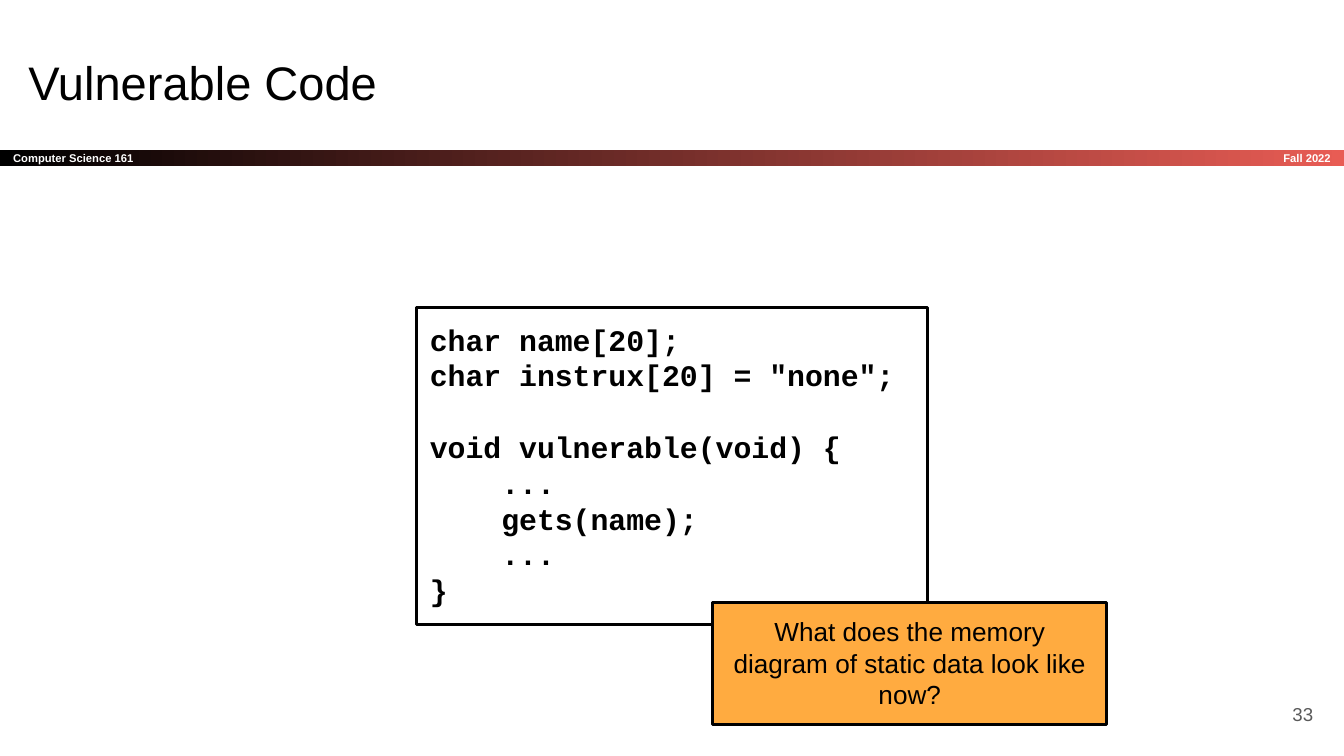
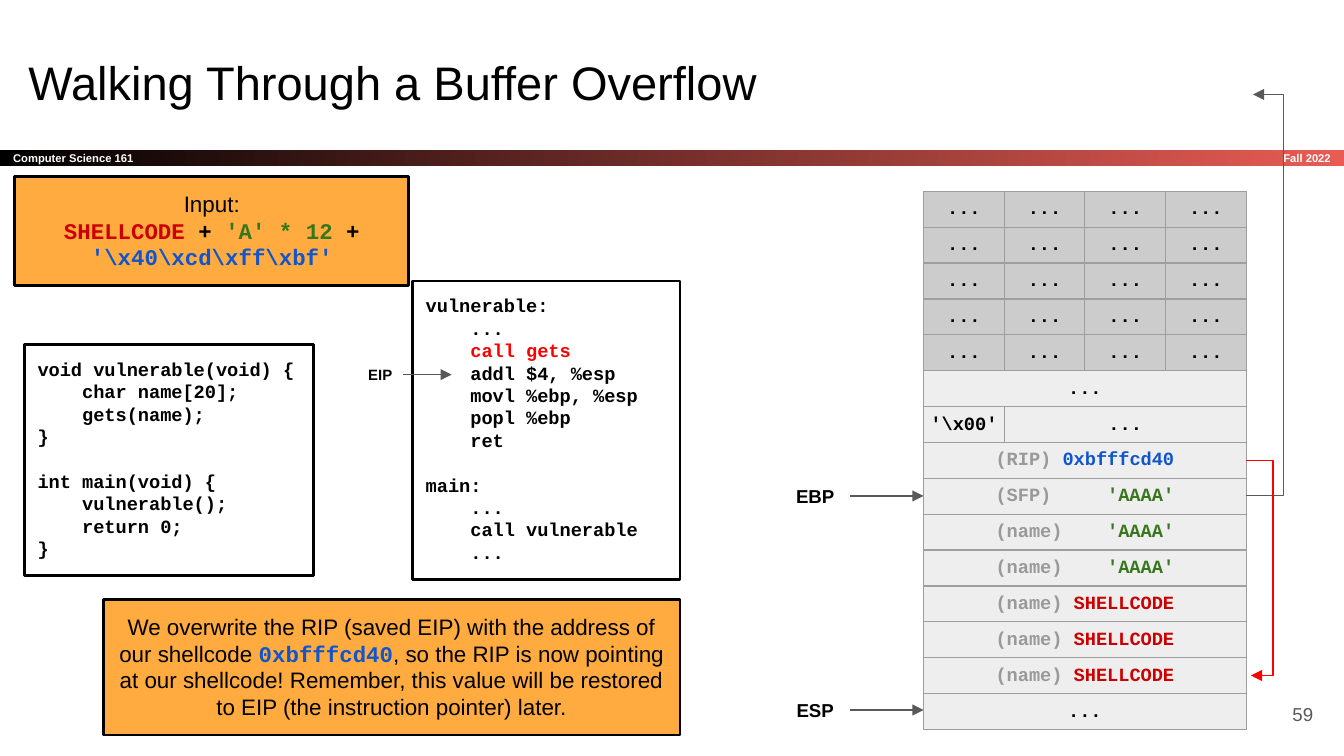
"""Build two slides about a buffer overflow in C code."""
from lxml import etree
from pptx import Presentation
from pptx.dml.color import RGBColor
from pptx.enum.shapes import MSO_CONNECTOR, MSO_SHAPE
from pptx.enum.text import MSO_ANCHOR, MSO_AUTO_SIZE, PP_ALIGN
from pptx.oxml.ns import qn
from pptx.util import Pt

LEFT, CENTER, RIGHT = PP_ALIGN.LEFT, PP_ALIGN.CENTER, PP_ALIGN.RIGHT
TOP, MIDDLE = MSO_ANCHOR.TOP, MSO_ANCHOR.MIDDLE
RECTANGLE, STRAIGHT = MSO_SHAPE.RECTANGLE, MSO_CONNECTOR.STRAIGHT
FIXED_SIZE = MSO_AUTO_SIZE.NONE

SANS, MONO = "Arial", "Courier New"
BLACK, WHITE, BAND_END, ORANGE = "000000", "FFFFFF", "E85C54", "FFAB40"
GRAY, LABEL_GRAY, BORDER_GRAY = "595959", "999999", "9E9E9E"
CALLER_FILL, FRAME_FILL = "CCCCCC", "EEEEEE"
RED, SHELL_RED, GREEN, BLUE = "FF0000", "CC0000", "38761D", "1155CC"
LINE_HEIGHT = 1.2
color = RGBColor.from_string


def write_text(frame, paragraphs, size=10, font=SANS, ink=BLACK, bold=False,
               align=LEFT, anchor=TOP, insets=(7.2, 7.2)):
    """Write paragraphs of (text, ink, font) runs; an empty one becomes a gap."""
    frame.word_wrap = True
    frame.auto_size = FIXED_SIZE
    frame.vertical_anchor = anchor
    frame.margin_left = frame.margin_right = Pt(insets[0])
    frame.margin_top = frame.margin_bottom = Pt(insets[1])
    paragraph, gap = frame.paragraphs[0], 0
    for index, runs in enumerate(paragraphs):
        if not runs:
            gap = size * LINE_HEIGHT
            continue
        if index:
            paragraph = frame.add_paragraph()
        paragraph.alignment = align
        paragraph.line_spacing = Pt(size * LINE_HEIGHT)
        paragraph.space_before, gap = Pt(gap), 0
        for text, run_ink, run_font in [(runs, ink, font)] if isinstance(runs, str) else runs:
            run = paragraph.add_run()
            run.text = text
            run.font.size, run.font.name = Pt(size), run_font
            run.font.bold = bold or run_font == MONO
            run.font.color.rgb = color(run_ink)


def add_box(slide, place, paragraphs, fill=None, **text_format):
    """Add an outlined box, or a plain text box when there is no fill."""
    place = [Pt(length) for length in place]
    if fill:
        shape = slide.shapes.add_shape(RECTANGLE, *place)
        shape.shadow.inherit = False
        shape.fill.solid()
        shape.fill.fore_color.rgb = color(fill)
        shape.line.color.rgb = color(BLACK)
        shape.line.width = Pt(1.5)
    else:
        shape = slide.shapes.add_textbox(*place)
    write_text(shape.text_frame, paragraphs, **text_format)
    return shape


presentation = Presentation()
presentation.slide_width, presentation.slide_height = Pt(720), Pt(405)

slides = []
for title, number in [("Vulnerable Code", "33"), ("Walking Through a Buffer Overflow", "59")]:
    slide = presentation.slides.add_slide(presentation.slide_layouts[5])
    slides.append(slide)
    band = add_box(slide, (0, 80.2, 720, 8.7), ["Computer Science 161"], fill=BLACK,
                   size=6, ink=WHITE, bold=True, anchor=MIDDLE)
    band.line.fill.background()
    band.fill.gradient()
    band.fill.gradient_angle = 0
    for stop, stop_color in zip(band.fill.gradient_stops, (BLACK, BAND_END)):
        stop.color.rgb = color(stop_color)
    add_box(slide, (600.5, 80.2, 119.5, 8.7), ["Fall 2022"], size=6, ink=WHITE,
            bold=True, align=RIGHT, anchor=MIDDLE)
    heading = slide.shapes.title
    heading.left, heading.top, heading.width, heading.height = Pt(8), Pt(21.6), Pt(671), Pt(45.4)
    write_text(heading.text_frame, [title], size=25.2)
    add_box(slide, (667.4, 367.2, 43.2, 31), [number], ink=GRAY, align=RIGHT, anchor=MIDDLE)
code_slide, overflow_slide = slides

add_box(code_slide, (223.2, 164.9, 273.6, 169.9), [
    "char name[20];",
    'char instrux[20] = "none";',
    "",
    "void vulnerable(void) {",
    "    ...",
    "    gets(name);",
    "    ...",
    "}",
], fill=WHITE, size=16, font=MONO)
add_box(code_slide, (381.9, 322.7, 211, 65.5),
        ["What does the memory diagram of static data look like now?"],
        fill=ORANGE, size=14, align=CENTER)

add_box(overflow_slide, (13, 184.5, 154.8, 123.8), [
    "void vulnerable(void) {",
    "    char name[20];",
    "    gets(name);",
    "}",
    "",
    "int main(void) {",
    "    vulnerable();",
    "    return 0;",
    "}",
], fill=WHITE, font=MONO)
add_box(overflow_slide, (221, 150.5, 143.3, 159.8), [
    "vulnerable:",
    "    ...",
    [("    call gets", RED, MONO)],
    "    addl $4, %esp",
    "    movl %ebp, %esp",
    "    popl %ebp",
    "    ret",
    "",
    "main:",
    "    ...",
    "    call vulnerable",
    "    ...",
], fill=WHITE, font=MONO)

add_box(overflow_slide, (191.5, 192.2, 24.5, 17.3), ["EIP"], size=8, bold=True,
        align=CENTER, insets=(3.6, 3.6))
for register, top in [("EBP", 252.7), ("ESP", 367.2)]:
    add_box(overflow_slide, (417.6, top, 38.2, 26.6), [register], bold=True, align=CENTER)

memory_rows = [["..."] * 4] * 5 + [["..."], [r"'\x00'", "..."]]
for label, value, ink in [
    ("(RIP)", "0xbfffcd40", BLUE),
    ("(SFP)", "'AAAA'", GREEN),
    *[("(name)", "'AAAA'", GREEN)] * 2,
    *[("(name)", "SHELLCODE", SHELL_RED)] * 3,
]:
    memory_rows.append([[(label.ljust(16 - len(value)), LABEL_GRAY, MONO), (value, ink, MONO)]])
memory_rows.append(["..."])

table = overflow_slide.shapes.add_table(
    len(memory_rows), 4, Pt(494.8), Pt(102.5), Pt(172.8), Pt(288)).table
table.first_row = table.horz_banding = False
for column in table.columns:
    column.width = Pt(43.2)
for row_index, contents in enumerate(memory_rows):
    table.rows[row_index].height = Pt(19.2)
    last = len(contents) - 1
    if last < 3:
        table.cell(row_index, last).merge(table.cell(row_index, 3))
    for column_index in range(4):
        cell = table.cell(row_index, column_index)
        cell.margin_left = cell.margin_right = Pt(1.44)
        cell.margin_top = cell.margin_bottom = Pt(3.6)
        cell.fill.solid()
        cell.fill.fore_color.rgb = color(CALLER_FILL if row_index < 5 else FRAME_FILL)
        properties = cell.fill._xPr
        for position, side in enumerate(("a:lnL", "a:lnR", "a:lnT", "a:lnB")):
            border = etree.Element(qn(side), w=str(Pt(0.75)))
            solid = etree.SubElement(border, qn("a:solidFill"))
            etree.SubElement(solid, qn("a:srgbClr"), val=BORDER_GRAY)
            properties.insert(position, border)
        if column_index <= last:
            paragraph = cell.text_frame.paragraphs[0]
            paragraph.alignment = CENTER
            paragraph.line_spacing = Pt(10 * LINE_HEIGHT)
            content = contents[column_index]
            for text, ink, font in [(content, BLACK, MONO)] if isinstance(content, str) else content:
                run = paragraph.add_run()
                run.text = text
                run.font.size, run.font.name, run.font.bold = Pt(10), font, True
                run.font.color.rgb = color(ink)

for ink, points in [
    (GRAY, [(216, 200.7), (242, 200.7)]),
    (GRAY, [(455.5, 265.7), (494.8, 265.7)]),
    (GRAY, [(455.5, 380.4), (494.8, 380.4)]),
    (GRAY, [(667.6, 265.4), (687.6, 265.4), (687.6, 50.6), (671.3, 50.6)]),
    (RED, [(667.6, 246.8), (682, 246.8), (682, 361.9), (670.2, 361.9)]),
]:
    points = [(Pt(x), Pt(y)) for x, y in points]
    if len(points) == 2:
        arrow = overflow_slide.shapes.add_connector(STRAIGHT, *points[0], *points[1])
    else:
        builder = overflow_slide.shapes.build_freeform(*points[0])
        builder.add_line_segments(points[1:], close=False)
        arrow = builder.convert_to_shape()
        arrow.fill.background()
    arrow.line.color.rgb = color(ink)
    arrow.line.width = Pt(0.75)
    outline = arrow.element.spPr.find(qn("a:ln"))
    etree.SubElement(outline, qn("a:tailEnd"), type="triangle")
    etree.SubElement(arrow.element.spPr, qn("a:effectLst"))

add_box(overflow_slide, (8, 94.5, 211, 58.3), [
    "Input:",
    [("SHELLCODE", SHELL_RED, MONO), (" + ", BLACK, MONO), ("'A' * 12", GREEN, MONO),
     (" + ", BLACK, MONO), (r"'\x40\xcd\xff\xbf'", BLUE, MONO)],
], fill=ORANGE, size=12, align=CENTER)
add_box(overflow_slide, (55.4, 321.1, 308.9, 72.7), [[
    ("We overwrite the RIP (saved EIP) with the address of our shellcode ", BLACK, SANS),
    ("0xbfffcd40", BLUE, MONO),
    (", so the RIP is now pointing at our shellcode! Remember, this value will be "
     "restored to EIP (the instruction pointer) later.", BLACK, SANS),
]], fill=ORANGE, size=12, align=CENTER)

presentation.save("out.pptx")
